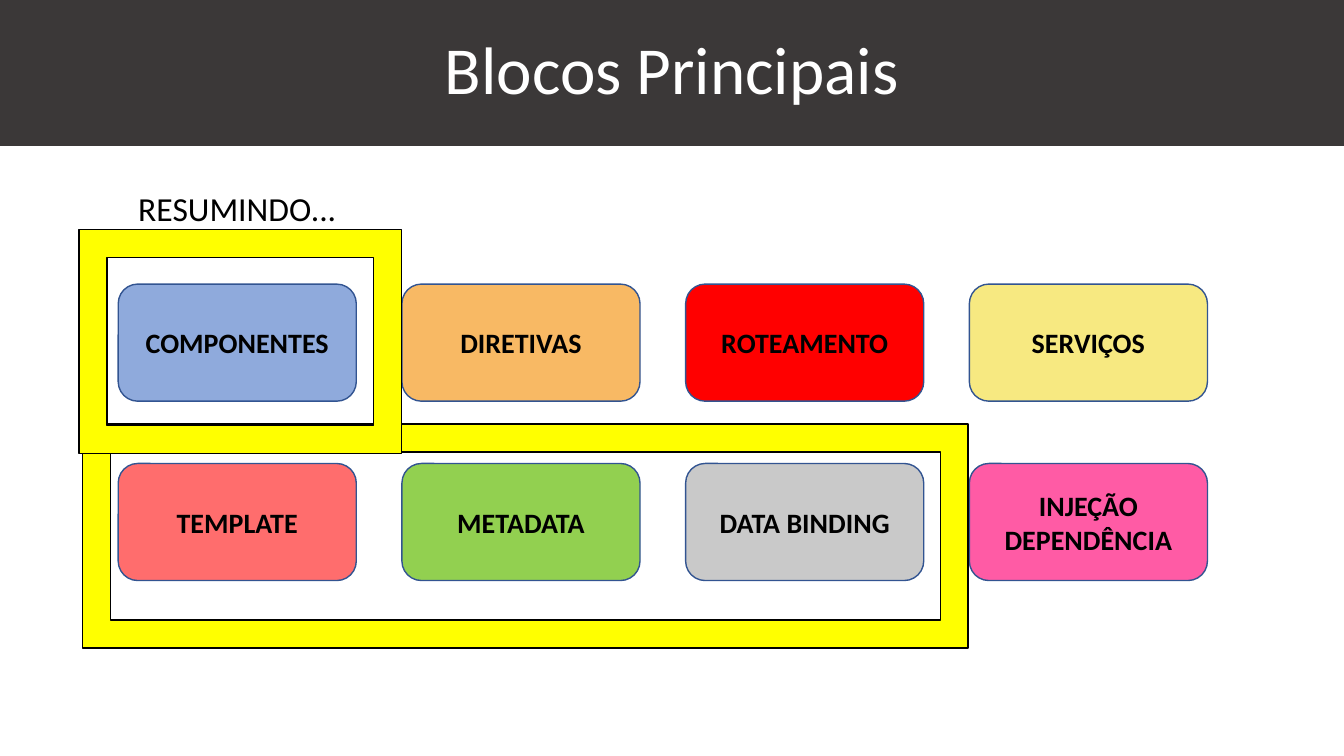
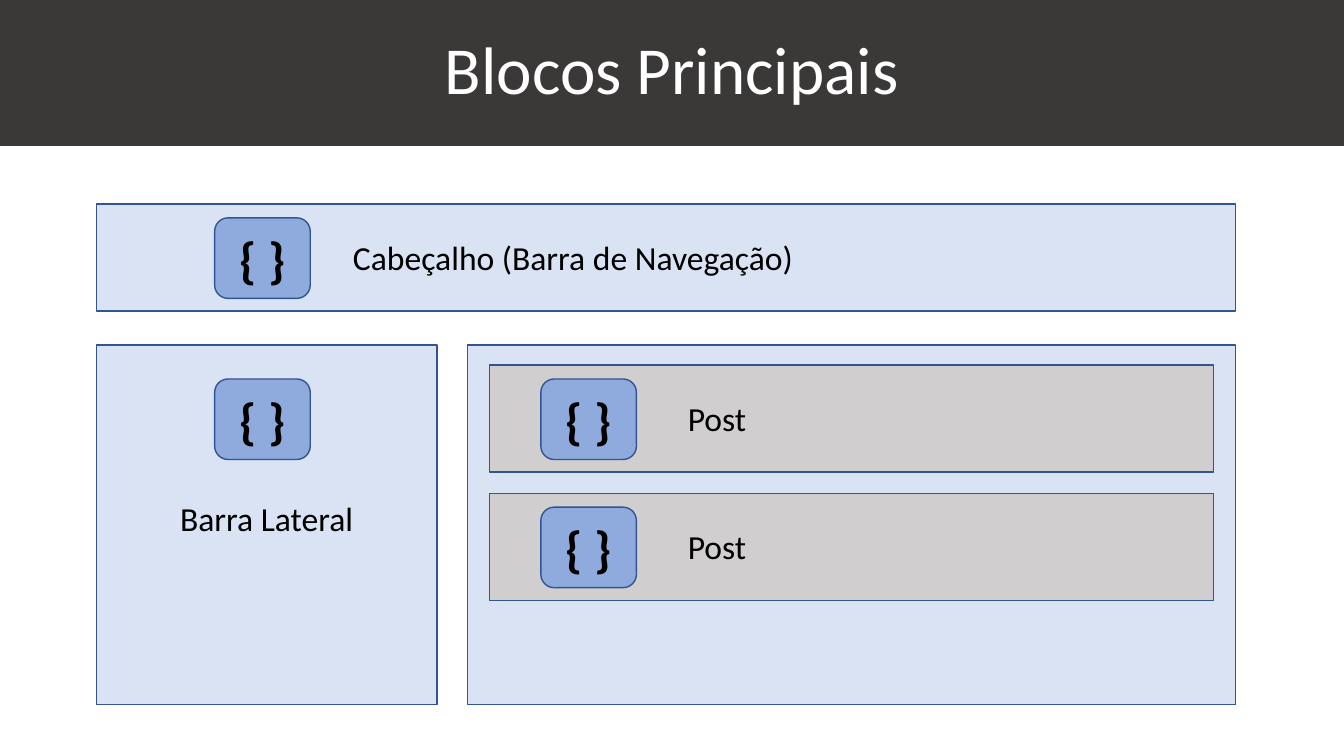
import pptx
import pptx.util
import pptx.dml.color
import pptx.enum.shapes
import pptx.enum.text

Cm = pptx.util.Cm
Pt = pptx.util.Pt
SHAPE = pptx.enum.shapes.MSO_SHAPE
ALIGN = pptx.enum.text.PP_ALIGN
ANCHOR = pptx.enum.text.MSO_ANCHOR

FONT = "Calibri"
WIDTH, HEIGHT = 33.87, 19.05
BLACK, WHITE = "000000", "FFFFFF"
BAND = "3B3838"
OUTLINE = "325491"
BLUE = "8FAADC"
PALE_BLUE = "DAE3F3"
GREY = "D0CECE"
YELLOW = "FFFF00"

BLOCKS = [
    [("COMPONENTES", BLUE), ("DIRETIVAS", "F8B964"),
     ("ROTEAMENTO", "FF0000"), ("SERVIÇOS", "F7E981")],
    [("TEMPLATE", "FF6D6D"), ("METADATA", "92D050"),
     ("DATA BINDING", "C9C9C9"), ("INJEÇÃO DEPENDÊNCIA", "FF5BA5")],
]


def rgb(color):
    return pptx.dml.color.RGBColor.from_string(color)


def write(sp, text, size, color=BLACK, bold=False, anchor=ANCHOR.MIDDLE):
    tf = sp.text_frame
    tf.word_wrap = True
    tf.vertical_anchor = anchor
    p = tf.paragraphs[0]
    p.text = text
    p.alignment = ALIGN.CENTER
    p.font.name = FONT
    p.font.size = Pt(size)
    p.font.bold = bold
    p.font.color.rgb = rgb(color)
    return p


def add_box(s, kind, x, y, w, h, fill, line=OUTLINE):
    sp = s.shapes.add_shape(kind, Cm(x), Cm(y), Cm(w), Cm(h))
    sp.shadow.inherit = False
    sp.fill.solid()
    sp.fill.fore_color.rgb = rgb(fill)
    if line:
        sp.line.color.rgb = rgb(line)
        sp.line.width = Pt(1)
    else:
        sp.line.fill.background()
    return sp


def add_label(s, text, x, y, w):
    sp = s.shapes.add_textbox(Cm(x), Cm(y), Cm(w), Cm(1.28))
    write(sp, text, 24, anchor=ANCHOR.TOP)


def add_block(s, text, x, y, w, h, fill, size):
    sp = add_box(s, SHAPE.ROUNDED_RECTANGLE, x, y, w, h, fill)
    write(sp, text, size, bold=True)


def add_icon(s, x, y):
    add_block(s, "{ }", x, y, 2.41, 2.03, BLUE, 36)


def add_bar(s, text, x, y, w, fill, icon_x, text_x, text_w):
    add_box(s, SHAPE.RECTANGLE, x, y, w, 2.7, fill)
    add_icon(s, icon_x, y + 0.35)
    add_label(s, text, text_x, y + 0.71, text_w)


def add_slide(prs, title):
    s = prs.slides.add_slide(prs.slide_layouts[6])
    sp = add_box(s, SHAPE.RECTANGLE, 0, 0, WIDTH, 3.68, BAND, line=None)
    write(sp, title, 48, WHITE).line_spacing = 0.9
    return s


def build_summary(prs):
    s = add_slide(prs, "Blocos Principais")
    for row, blocks in enumerate(BLOCKS):
        for col, (text, fill) in enumerate(blocks):
            add_block(s, text, 2.98 + 7.15 * col, 7.16 + 4.52 * row,
                      6, 2.95, fill, 20)
    for x, y, w in [(2.08, 10.69, 22.32), (1.99, 5.79, 8.13)]:
        add_box(s, SHAPE.FRAME, x, y, w, 5.64, YELLOW, BLACK)
    add_label(s, "RESUMINDO...", 0.2, 4.6, 11.56)


def build_page_layout(prs):
    s = add_slide(prs, "Blocos Principais")
    left, right, top, height = 2.44, 31.14, 8.69, 9.06
    content = 11.78
    add_bar(s, "Cabeçalho (Barra de Navegação)", left, 5.14, right - left,
            PALE_BLUE, 5.41, 7.29, 14.3)
    add_box(s, SHAPE.RECTANGLE, left, top, 8.57, height, PALE_BLUE)
    add_icon(s, 5.41, 9.55)
    add_label(s, "Barra Lateral", 3.48, 12.42, 6.48)
    add_box(s, SHAPE.RECTANGLE, content, top, right - content, height,
            PALE_BLUE)
    for i in range(2):
        add_bar(s, "Post", 12.33, 9.2 + 3.23 * i, 18.26, GREY,
                13.63, 14.83, 6.48)


def main():
    prs = pptx.Presentation()
    prs.slide_width = Cm(WIDTH)
    prs.slide_height = Cm(HEIGHT)
    build_summary(prs)
    build_page_layout(prs)
    prs.save("out.pptx")


if __name__ == "__main__":
    main()
